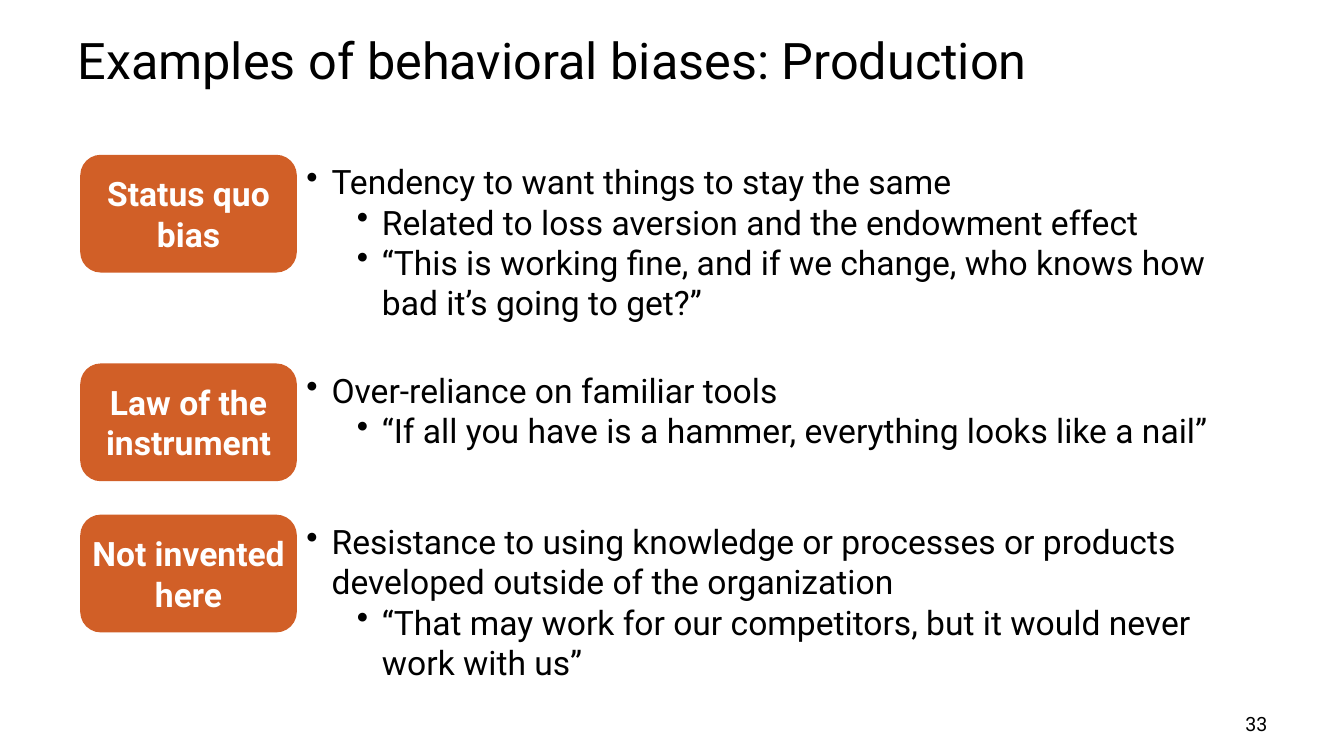
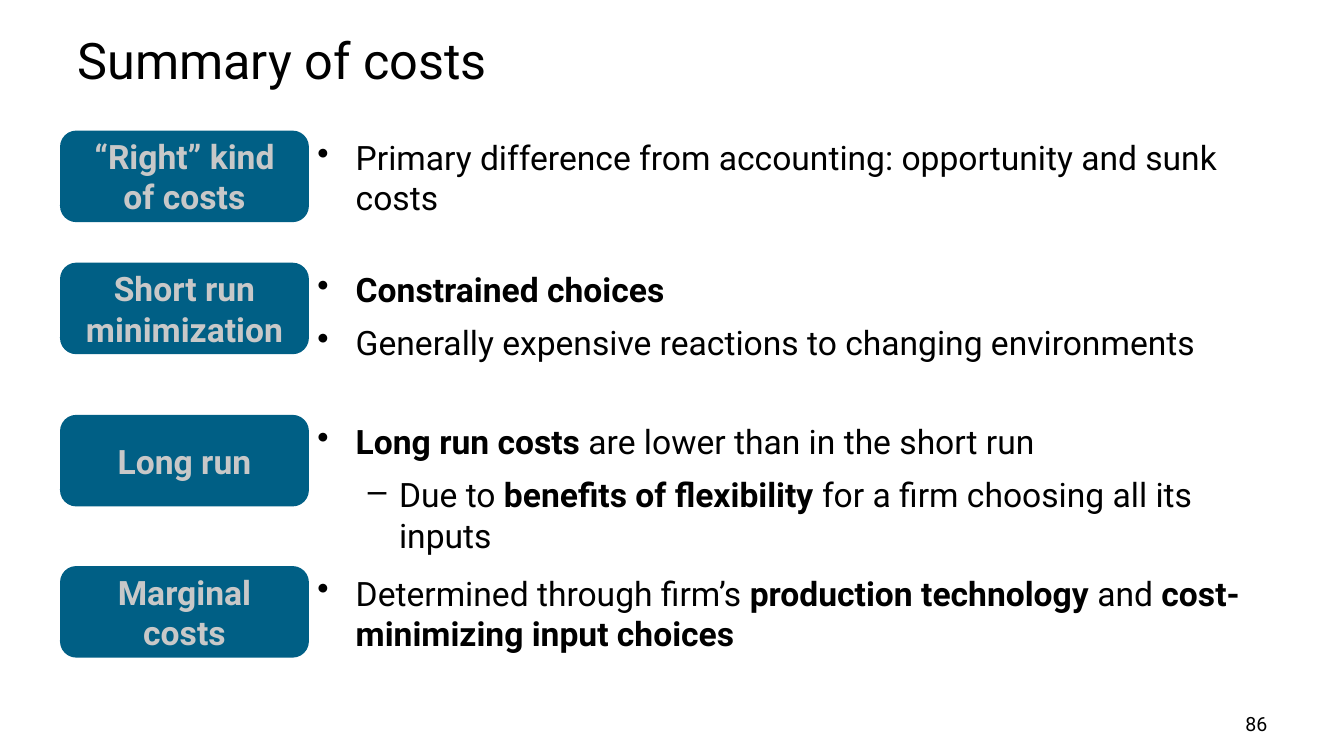
"""Builds two slides of labelled bullet rows: behavioral biases and a cost summary."""
from lxml import etree
from pptx import Presentation
from pptx.dml.color import RGBColor
from pptx.enum.shapes import MSO_SHAPE
from pptx.enum.text import MSO_ANCHOR, MSO_AUTO_SIZE, PP_ALIGN
from pptx.oxml.ns import qn
from pptx.util import Inches, Pt

ROUND = MSO_SHAPE.ROUNDED_RECTANGLE
TOP, MID = MSO_ANCHOR.TOP, MSO_ANCHOR.MIDDLE
GROW = MSO_AUTO_SIZE.SHAPE_TO_FIT_TEXT
LEFT, MIDDLE, RIGHT = PP_ALIGN.LEFT, PP_ALIGN.CENTER, PP_ALIGN.RIGHT

THEME = {
    "font": "Roboto",
    "black": RGBColor(0x00, 0x00, 0x00),
    "white": RGBColor(0xFF, 0xFF, 0xFF),
    "gray": RGBColor(0xC8, 0xC8, 0xC8),
    "orange": RGBColor(0xD1, 0x5F, 0x27),
    "blue": RGBColor(0x00, 0x5F, 0x85),
    "title": Pt(36),
    "body": Pt(24),
    "page": Pt(14),
}

SLIDES = [
    {
        "title": "Examples of behavioral biases: Production",
        "page": "33",
        "fill": "orange", "ink": "white",
        "left": 0.81, "wide": 2.12, "high": 1.14, "inset": 0,
        "text": 2.94, "span": 9.58, "gap": 0,
        "marks": [(0.25, 0.25, "•"), (0.75, 0.25, "•")],
        "rows": [
            (1.55, 1.72, "Status quo bias", [
                (0, "Tendency to want things to stay the same"),
                (1, "Related to loss aversion and the endowment effect"),
                (1, "“This is working fine, and if we change, who knows how bad it’s going to get?”"),
            ]),
            (3.62, 0.91, "Law of the instrument", [
                (0, "Over-reliance on familiar tools"),
                (1, "“If all you have is a hammer, everything looks like a nail”"),
            ]),
            (5.12, 1.72, "Not invented here", [
                (0, "Resistance to using knowledge or processes or products developed outside of the organization"),
                (1, "“That may work for our competitors, but it would never work with us”"),
            ]),
        ],
    },
    {
        "title": "Summary of costs",
        "page": "86",
        "fill": "blue", "ink": "gray",
        "left": 0.61, "wide": 2.44, "high": 0.88, "inset": 0.1,
        "text": 3.05, "span": 9.67, "gap": 4.5,
        "marks": [(0.38, 0.38, "•"), (0.81, 0.31, "–")],
        "rows": [
            (1.31, 0.91, "“Right” kind of costs", [
                (0, "Primary difference from accounting: opportunity and sunk costs"),
            ]),
            (2.62, 1.07, "Short run minimization", [
                (0, "*Constrained choices*"),
                (0, "Generally expensive reactions to changing environments"),
            ]),
            (4.13, 1.47, "Long run", [
                (0, "*Long run costs *are lower than in the short run"),
                (1, "Due to *benefits of flexibility *for a firm choosing all its inputs"),
            ]),
            (5.63, 0.91, "Marginal costs", [
                (0, "Determined through firm’s *production technology *and *cost-minimizing input choices*"),
            ]),
        ],
    },
]


def write(para, text, size, ink, bold=False, align=LEFT):
    """Write text in runs; asterisks switch bold on and off."""
    para.alignment = align
    for turn, part in enumerate(text.split("*")):
        if part:
            run = para.add_run()
            run.text = part
            look = {"name": THEME["font"], "size": THEME[size], "bold": bold or turn % 2 == 1}
            for key, value in look.items():
                setattr(run.font, key, value)
            run.font.color.rgb = THEME[ink]


def add_box(shapes, left, top, wide, high, anchor=TOP):
    """Add a wrapping text box and return its text frame."""
    frame = shapes.add_textbox(Inches(left), Inches(top), Inches(wide), Inches(high)).text_frame
    for key, value in {"word_wrap": True, "auto_size": GROW, "vertical_anchor": anchor}.items():
        setattr(frame, key, value)
    return frame


deck = Presentation()
deck.slide_width, deck.slide_height = Inches(13.33), Inches(7.5)

for data in SLIDES:
    slide = deck.slides.add_slide(deck.slide_layouts[6])
    title = add_box(slide.shapes, 0.67, 0.23, 12, 0.71, MID)
    write(title.paragraphs[0], data["title"], "title", "black")
    page = add_box(slide.shapes, 9.56, 7.01, 3.11, 0.34)
    write(page.paragraphs[0], data["page"], "page", "black", align=RIGHT)

    for top, high, label, points in data["rows"]:
        group = slide.shapes.add_group_shape().shapes
        frame = add_box(group, data["text"], top, data["span"], high)
        for index, (level, text) in enumerate(points):
            para = frame.add_paragraph() if index else frame.paragraphs[0]
            para.level = level
            para.space_before = Pt(data["gap"] if index else 0)
            para.space_after = Pt(data["gap"])
            indent, hang, mark = data["marks"][level]
            props = para._p.get_or_add_pPr()
            props.set("marL", str(Inches(indent)))
            props.set("indent", str(-Inches(hang)))
            etree.SubElement(props, qn("a:buChar")).set("char", mark)
            write(para, text, "body", "black")

        tag = group.add_shape(ROUND, Inches(data["left"]), Inches(top),
                              Inches(data["wide"]), Inches(data["high"]))
        tag.shadow.inherit = False
        tag.fill.solid()
        tag.fill.fore_color.rgb = tag.line.color.rgb = THEME[data["fill"]]
        tag.line.width = Pt(2)
        inset = Inches(data["inset"])
        form = {"word_wrap": True, "vertical_anchor": MID, "margin_left": inset, "margin_right": inset}
        for key, value in form.items():
            setattr(tag.text_frame, key, value)
        write(tag.text_frame.paragraphs[0], label, "body", data["ink"], True, MIDDLE)

deck.save("out.pptx")
